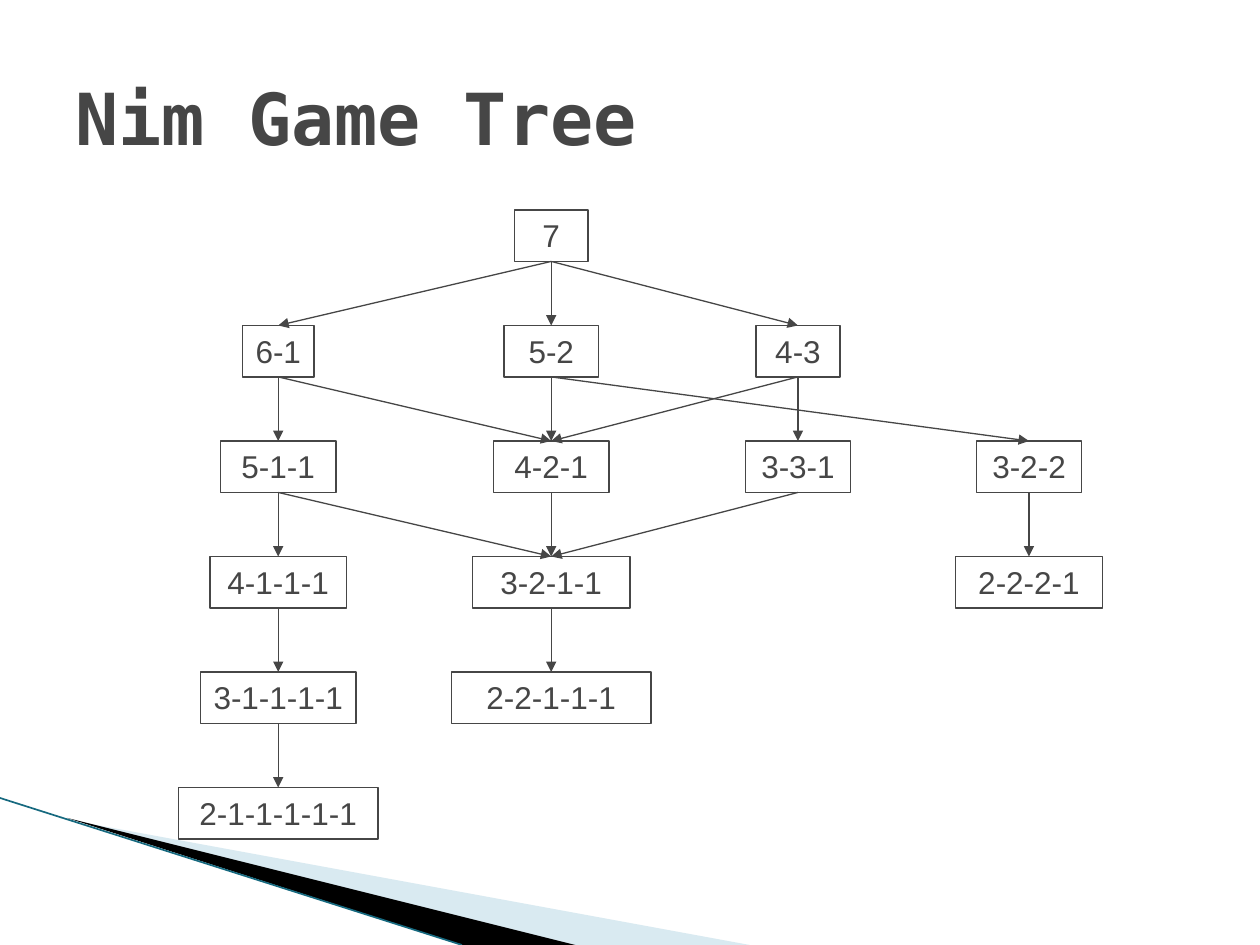
import lxml.etree
import pptx
import pptx.dml.color
import pptx.enum.dml
import pptx.enum.shapes
import pptx.enum.text
import pptx.oxml
import pptx.oxml.ns
import pptx.util

PX = 914400 // 120
INK = "464646"
ROW_PITCH, NODE_HEIGHT = 110, 49
BOTTOM, CENTER = 2, pptx.enum.text.PP_ALIGN.CENTER

# label: (row, centre x within the tree, width)
NODES = {
    "7": (0, 355, 70),
    "6-1": (1, 95, 68), "5-2": (1, 355, 90), "4-3": (1, 590, 80),
    "5-1-1": (2, 95, 110), "4-2-1": (2, 355, 110),
    "3-3-1": (2, 590, 100), "3-2-2": (2, 810, 100),
    "4-1-1-1": (3, 95, 130), "3-2-1-1": (3, 355, 150), "2-2-2-1": (3, 810, 140),
    "3-1-1-1-1": (4, 95, 148), "2-2-1-1-1": (4, 355, 190),
    "2-1-1-1-1-1": (5, 95, 190),
}
UNWRAPPED = ("6-1", "3-1-1-1-1")
MOVES = {
    "7": ["6-1", "5-2", "4-3"],
    "6-1": ["5-1-1", "4-2-1"],
    "5-2": ["4-2-1", "3-2-2"],
    "4-3": ["4-2-1", "3-3-1"],
    "5-1-1": ["4-1-1-1", "3-2-1-1"],
    "4-2-1": ["3-2-1-1"],
    "3-3-1": ["3-2-1-1"],
    "3-2-2": ["2-2-2-1"],
    "4-1-1-1": ["3-1-1-1-1"],
    "3-2-1-1": ["2-2-1-1-1"],
    "3-1-1-1-1": ["2-1-1-1-1-1"],
}


def px(*lengths):
    return [length * PX for length in lengths]


def color(value):
    return pptx.dml.color.RGBColor.from_string(value)


def assign(target, values):
    for name, value in values.items():
        setattr(target, name, value)


def write(shape, text, ink, font, frame, align=None):
    assign(shape.text_frame, frame)
    para = shape.text_frame.paragraphs[0]
    para.alignment = align
    span = para.add_run()
    span.text = text
    assign(span.font, font)
    span.font.color.rgb = color(ink)


def stroke(shape, ink, width):
    shape.line.color.rgb = color(ink)
    shape.line.width = pptx.util.Pt(width)


def add_line(page, start, end, ink, width):
    line = page.shapes.add_connector(
        pptx.enum.shapes.MSO_CONNECTOR.STRAIGHT, *px(*start, *end))
    stroke(line, ink, width)
    properties = line._element.spPr
    lxml.etree.SubElement(properties, pptx.oxml.ns.qn("a:effectLst"))
    return line


def add_wedge(page, points, fill, alpha=None):
    start, *rest = [tuple(px(*point)) for point in points]
    builder = page.shapes.build_freeform(*start)
    builder.add_line_segments(rest, close=True)
    wedge = builder.convert_to_shape()
    wedge.shadow.inherit = False
    wedge.fill.solid()
    wedge.fill.fore_color.rgb = color(fill)
    wedge.line.fill.background()
    if alpha:
        tint = wedge._element.spPr.find(".//" + pptx.oxml.ns.qn("a:srgbClr"))
        lxml.etree.SubElement(tint, pptx.oxml.ns.qn("a:alpha"), val=str(alpha * 1000))


def draw_corner(page, left, top):
    def place(*points):
        return [(left + x, top + y) for x, y in points]

    add_wedge(page, place((66, 21), (714, 140), (547, 140), (66, 20)), "A0CBDC", 40)
    add_wedge(page, place((64, 19), (548, 140), (440, 140)), "000000")
    add_line(page, *place((0, 0), (440, 140)), "16697F", 0.95)


def draw_title(page, left, top, width, height):
    box = page.shapes.add_textbox(*px(left, top, width, height))
    font = {"name": "DejaVu Sans Mono", "size": pptx.util.Pt(41), "bold": True}
    frame = {"word_wrap": True, "vertical_anchor": pptx.enum.text.MSO_ANCHOR.MIDDLE}
    write(box, "Nim Game Tree", INK, font, frame)


def add_node(page, label, left, top, width):
    node = page.shapes.add_shape(
        pptx.enum.shapes.MSO_SHAPE.RECTANGLE, *px(left, top, width, NODE_HEIGHT))
    node.shadow.inherit = False
    node.fill.background()
    stroke(node, INK, 0.75)
    frame = {
        "word_wrap": label not in UNWRAPPED,
        "auto_size": pptx.enum.text.MSO_AUTO_SIZE.SHAPE_TO_FIT_TEXT,
        "vertical_anchor": pptx.enum.text.MSO_ANCHOR.TOP,
    }
    write(node, label, INK, {"name": "Arial", "size": pptx.util.Pt(18)}, frame, CENTER)
    return node


def draw_tree(page, left, top):
    nodes = {
        label: add_node(page, label, left + middle - width // 2,
                        top + row * ROW_PITCH, width)
        for label, (row, middle, width) in NODES.items()
    }
    for parent, children in MOVES.items():
        for child in children:
            arrow = add_line(page, (0, 0), (0, 0), INK, 0.75)
            arrow.begin_connect(nodes[parent], BOTTOM)
            arrow.end_connect(nodes[child], 0)
            lxml.etree.SubElement(
                arrow.line._get_or_add_ln(), pptx.oxml.ns.qn("a:tailEnd"), type="triangle")


def main():
    deck = pptx.Presentation()
    deck.slide_width, deck.slide_height = px(1200, 900)
    page = deck.slides.add_slide(deck.slide_layouts[6])
    draw_corner(page, 0, 760)
    draw_title(page, 60, 36, 1080, 150)
    draw_tree(page, 170, 200)
    deck.save("out.pptx")


if __name__ == "__main__":
    main()
